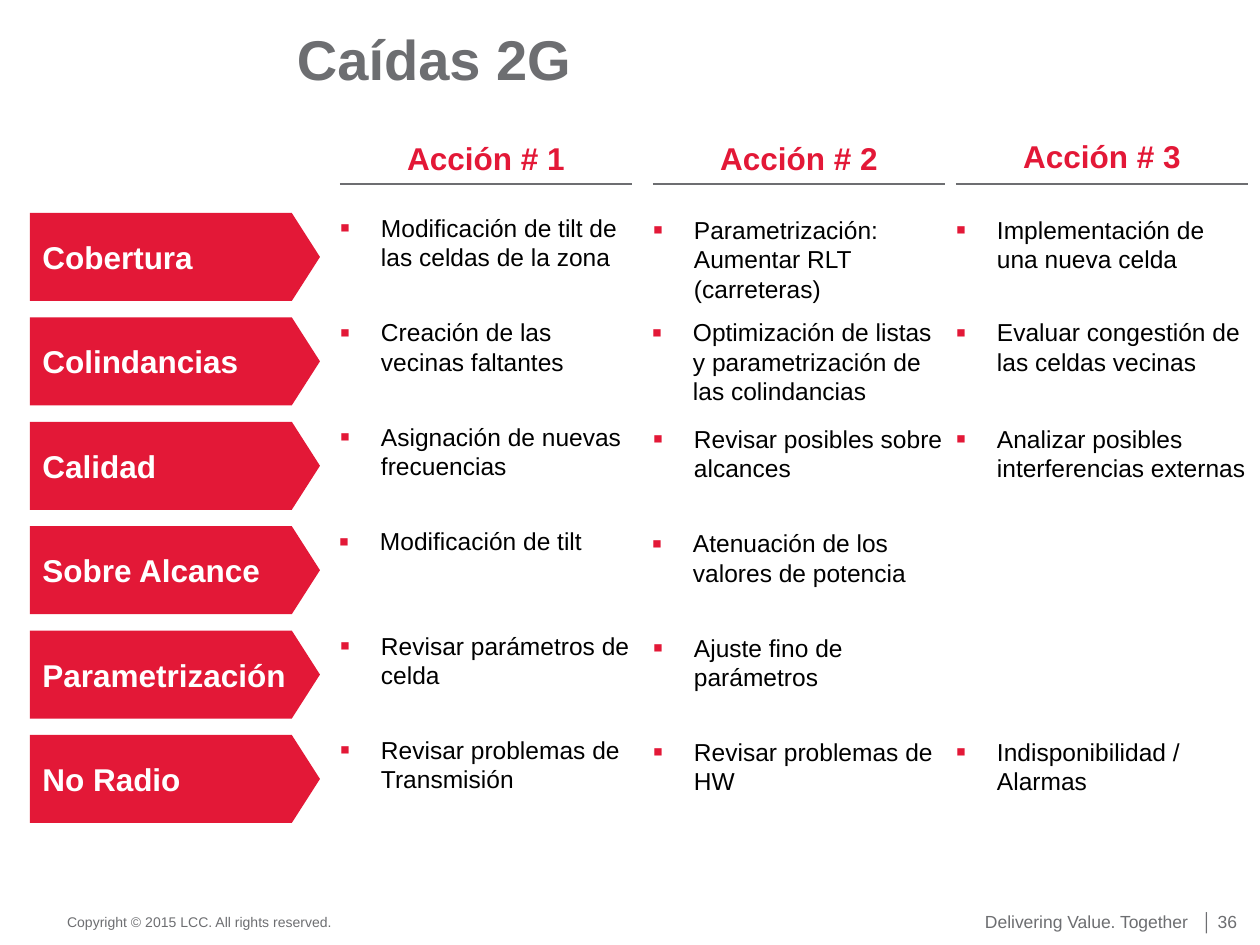
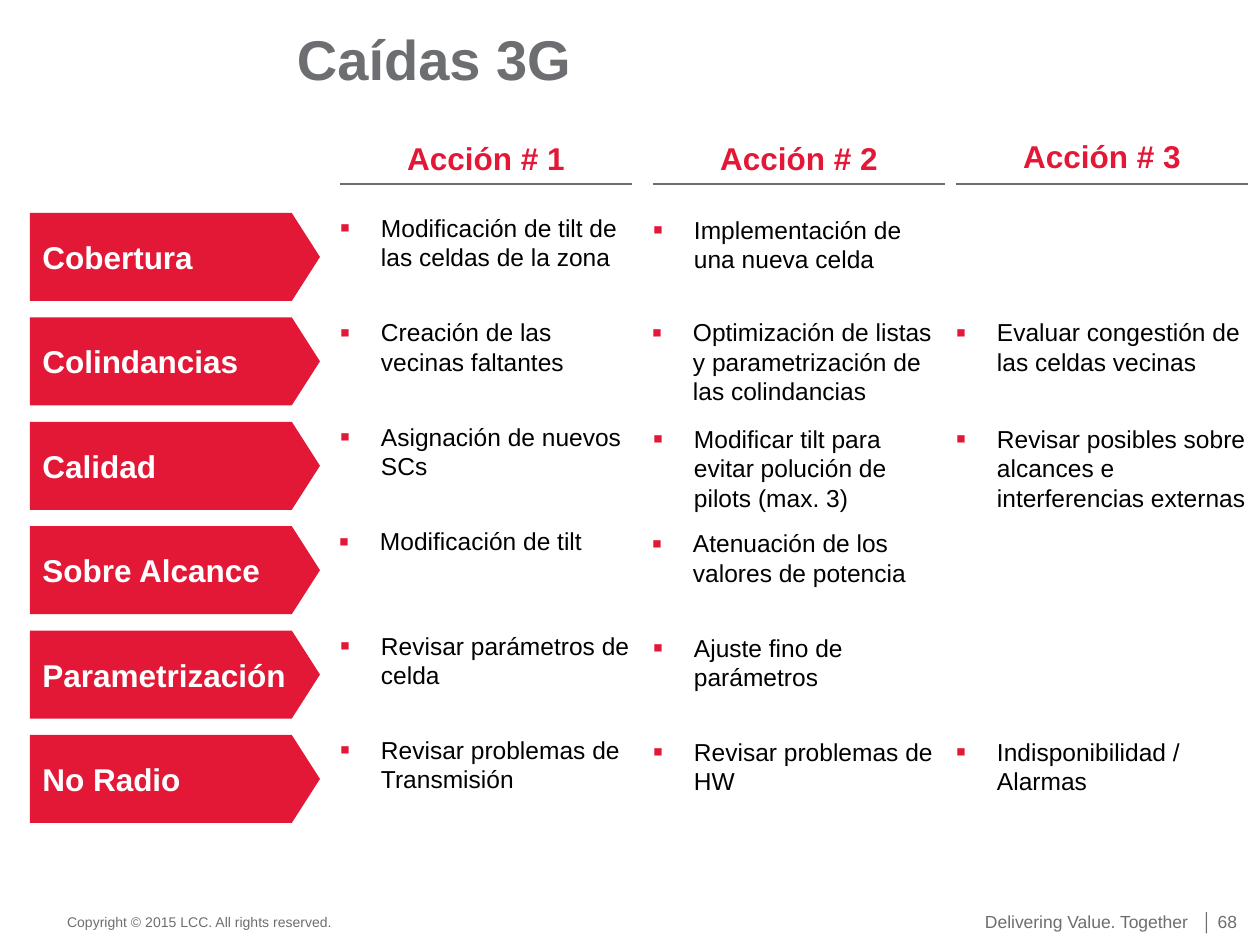
from lxml.etree import SubElement
from pptx import Presentation
from pptx.dml.color import RGBColor
from pptx.enum.shapes import MSO_CONNECTOR, MSO_SHAPE
from pptx.enum.text import MSO_ANCHOR, PP_ALIGN
from pptx.oxml.ns import qn
from pptx.util import Pt

# Content
CAUSES = ["Cobertura", "Colindancias", "Calidad", "Sobre Alcance", "Parametrización", "No Radio"]
HEADINGS = ["Acción # 1", "Acción # 2", "Acción # 3"]
COVERAGE_TILT = "Modificación de tilt de las celdas de la zona"
NEW_CELL = "Implementación de una nueva celda"
NEIGHBOURS = ["Creación de las vecinas faltantes",
              "Optimización de listas y parametrización de las colindancias",
              "Evaluar congestión de las celdas vecinas"]
COMMON_END = [
    ["Modificación de tilt", "Atenuación de los valores de potencia"],
    ["Revisar parámetros de celda", "Ajuste fino de parámetros"],
    ["Revisar problemas de Transmisión", "Revisar problemas de HW", "Indisponibilidad / Alarmas"],
]
PAGES = [
    {"title": "Caídas 2G", "number": 36, "actions": [
        [COVERAGE_TILT, "Parametrización: Aumentar RLT (carreteras)", NEW_CELL],
        NEIGHBOURS,
        ["Asignación de nuevas frecuencias", "Revisar posibles sobre alcances",
         "Analizar posibles interferencias externas"],
        *COMMON_END]},
    {"title": "Caídas 3G", "number": 68, "actions": [
        [COVERAGE_TILT, NEW_CELL],
        NEIGHBOURS,
        ["Asignación de nuevos SCs", "Modificar tilt para evitar polución de pilots (max. 3)",
         "Revisar posibles sobre alcances e interferencias externas"],
        *COMMON_END]},
]
COPYRIGHT = "Copyright © 2015 LCC. All rights reserved."
SLOGAN = "Delivering Value. Together"

# Style and layout, lengths in px
PX = 914400 / 126
FONT = "Arial"
RED, GREY, BLACK, WHITE = "E31837", "6D6E71", "000000", "FFFFFF"
COLUMN_LEFTS = [340, 653, 956]
COLUMN_WIDTH = 292
HEADING_TOPS = [139, 139, 137]
RULE_TOP = 184
FIRST_ROW, LAST_ROW = 213, 735
ROW_STEP = (LAST_ROW - FIRST_ROW) / (len(CAUSES) - 1)
ARROW_LEFT, ARROW_WIDTH, ARROW_HEIGHT = 30, 290, 88
COLUMN_DROPS = [0, 2, 2]
LEVEL_ROW = 1  # the row whose three actions start level
LEFT_NUDGES = {(1, 1): -1, (3, 0): -1, (3, 1): -1}
INDENT = 41
FOOTER_TAB = 217


def px(length):
    return round(length * PX)


def color(value):
    return RGBColor.from_string(value)


def add_bullet(para):
    props = para._p.get_or_add_pPr()
    props.set("marL", str(px(INDENT)))
    props.set("indent", str(-px(INDENT)))
    SubElement(SubElement(props, qn("a:buClr")), qn("a:srgbClr"), val=RED)
    SubElement(props, qn("a:buSzPct"), val="120000")
    SubElement(props, qn("a:buFont"), typeface=FONT)
    SubElement(props, qn("a:buChar"), char="▪")


def add_tab(para, position):
    tabs = SubElement(para._p.get_or_add_pPr(), qn("a:tabLst"))
    SubElement(tabs, qn("a:tab"), pos=str(px(position)), algn="l")


def write(shape, text, size=14, ink=BLACK, bold=False, align=PP_ALIGN.LEFT,
          anchor=MSO_ANCHOR.TOP, wrap=True, bullet=False, tab=None):
    frame = shape.text_frame
    frame.word_wrap = wrap
    frame.vertical_anchor = anchor
    para = frame.paragraphs[0]
    para.alignment = align
    if bullet:
        add_bullet(para)
    if tab:
        add_tab(para, tab)
    span = para.add_run()
    span.text = text
    span.font.name = FONT
    span.font.size = Pt(size)
    span.font.bold = bold
    span.font.color.rgb = color(ink)


def add_text(page, text, left, top, width, height, **style):
    box = page.shapes.add_textbox(px(left), px(top), px(width), px(height))
    frame = box.text_frame
    frame.margin_left = frame.margin_right = frame.margin_top = frame.margin_bottom = 0
    write(box, text, **style)


def add_arrow(page, text, top):
    arrow = page.shapes.add_shape(MSO_SHAPE.PENTAGON, px(ARROW_LEFT), px(top),
                                  px(ARROW_WIDTH), px(ARROW_HEIGHT))
    arrow.adjustments[0] = 0.32
    arrow.shadow.inherit = False
    arrow.fill.solid()
    arrow.fill.fore_color.rgb = color(RED)
    arrow.line.fill.background()
    write(arrow, text, size=18, ink=WHITE, bold=True, anchor=MSO_ANCHOR.MIDDLE)


def add_rule(page, left):
    rule = page.shapes.add_connector(MSO_CONNECTOR.STRAIGHT, px(left), px(RULE_TOP),
                                     px(left + COLUMN_WIDTH), px(RULE_TOP))
    rule.line.color.rgb = color(GREY)
    rule.line.width = Pt(0.75)
    SubElement(rule._element.spPr, qn("a:effectLst"))


def add_frame(page, title, number):
    """Title and footers."""
    add_text(page, f"{SLOGAN}\t│ {number}", 985, 911, 272, 21, size=10, ink=GREY,
             anchor=MSO_ANCHOR.MIDDLE, tab=FOOTER_TAB)
    add_text(page, COPYRIGHT, 67, 914, 268, 16, size=8, ink=GREY, wrap=False)
    add_text(page, title, 297, 24, 901, 68, size=32, ink=GREY, bold=True)


def add_actions(page, actions):
    # Column headings
    for heading, left, top in zip(HEADINGS, COLUMN_LEFTS, HEADING_TOPS):
        add_text(page, heading, left, top, COLUMN_WIDTH, 38, size=18, ink=RED,
                 bold=True, align=PP_ALIGN.CENTER)
        add_rule(page, left)
    # One arrow and up to three actions per row
    for row, (cause, cells) in enumerate(zip(CAUSES, actions)):
        top = FIRST_ROW + row * ROW_STEP
        add_arrow(page, cause, top)
        for column, action in enumerate(cells):
            drop = 0 if row == LEVEL_ROW else COLUMN_DROPS[column]
            left = COLUMN_LEFTS[column] + LEFT_NUDGES.get((row, column), 0)
            add_text(page, action, left, top + drop, COLUMN_WIDTH, 59, bullet=True)


def main():
    deck = Presentation()
    deck.slide_width, deck.slide_height = px(1260), px(945)
    blank = deck.slide_layouts[6]
    for content in PAGES:
        page = deck.slides.add_slide(blank)
        add_frame(page, content["title"], content["number"])
        add_actions(page, content["actions"])
    deck.save("out.pptx")


if __name__ == "__main__":
    main()
